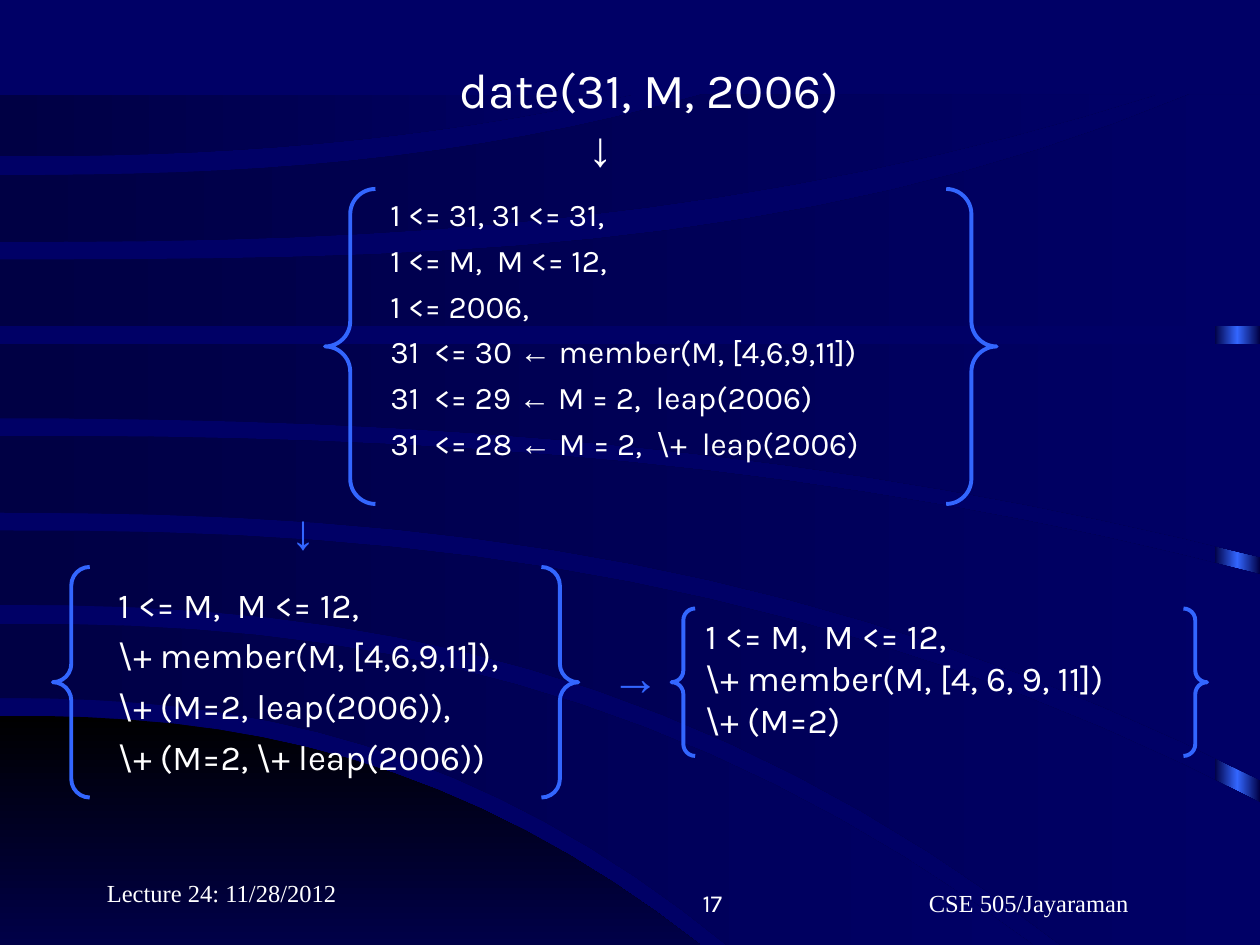
from dataclasses import dataclass
from itertools import groupby

from lxml import etree
from pptx import Presentation
from pptx import util as u
from pptx.dml.color import RGBColor
from pptx.enum import shapes, text
from pptx.oxml.ns import qn


@dataclass(frozen=True)
class Theme:
    night: str = "000066"
    shade: str = "000044"
    dusk: str = "000048"
    black: str = "000000"
    accent: str = "3366FF"
    white: str = "FFFFFF"
    sans: str = "Karla"
    serif: str = "Times New Roman"
    symbol: str = "Arial"
    title: int = 28
    result: int = 20
    body: int = 18
    footer: int = 14


theme = Theme()
align = text.PP_ALIGN
deck = Presentation()
deck.slide_width, deck.slide_height = u.Inches(10), u.Inches(7.5)
page = deck.slides.add_slide(deck.slide_layouts[6])
page.background.fill.solid()
page.background.fill.fore_color.rgb = RGBColor.from_string(theme.night)


def paint(shape, colors, angle=0):
    shape.shadow.inherit = False
    shape.line.fill.background()
    shape.fill.gradient()
    shape.fill.gradient_angle = angle
    stops = shape._element.spPr.find(".//" + qn("a:gsLst"))
    for stop in list(stops):
        stops.remove(stop)
    for index, color in enumerate(colors):
        position = str(100000 * index // (len(colors) - 1))
        stop = etree.SubElement(stops, qn("a:gs"), pos=position)
        etree.SubElement(stop, qn("a:srgbClr"), val=color)


def write(place, lines, size, color=theme.white, font=theme.sans, alignment=align.LEFT,
          anchor=text.MSO_ANCHOR.TOP, gap=0, indents=()):
    box = page.shapes.add_textbox(*map(u.Inches, place))
    frame = box.text_frame
    frame.word_wrap = True
    frame.vertical_anchor = anchor
    for index, line in enumerate(lines):
        para = frame.paragraphs[0] if index == 0 else frame.add_paragraph()
        para.alignment = alignment
        if index and gap:
            para.space_before = u.Pt(gap)
        if indents:
            para._p.get_or_add_pPr().set("marL", str(u.Inches(indents[index])))
        for is_arrow, letters in groupby(line, lambda letter: letter in "←↓→"):
            span = para.add_run()
            span.text = "".join(letters)
            span.font.name = theme.symbol if is_arrow else font
            span.font.size = u.Pt(size)
            span.font.color.rgb = RGBColor.from_string(color)


stripe = page.shapes.add_shape(
    shapes.MSO_SHAPE.RECTANGLE, u.Inches(9.64), u.Inches(0.77), u.Inches(0.36), u.Inches(6.73))
paint(stripe, [theme.shade, theme.accent, theme.shade])

steps = 16
sweep = [theme.shade, theme.night]
bands = [
    ((5.68, 5.56, 7.5), (7.5, 5.56, 7.5), [], 2.4, [theme.black, theme.dusk], 270),
    ((4.95, 8.2, 7.5), (5.54, 5.77, 7.5), [], 2.4, sweep, 0),
    ((4.21, 10, 6.37), (4.8, 8.42, 7.5), [(10, 7.5)], 2.4, sweep, 0),
    ((3.46, 10, 4.56), (4.07, 10, 6.19), [], 2.4, sweep, 0),
    ((2.73, 10, 2.73), (3.32, 10, 4.42), [], 2.3, sweep, 0),
    ((2.06, 9.44, 0.75), (2.59, 10, 2.59), [(10, 0.75)], 3, sweep, 0),
    ((1.39, 5.57, 0.75), (1.92, 9.18, 0.75), [], 2.5, sweep, 0),
    ((0.75, 5.02, 0.75), (1.24, 5.02, 0.75), [], 2.3, sweep, 0),
]
for upper, lower, corner, bend, colors, angle in bands:
    top, bottom = [
        [(end * step / steps, start + (finish - start) * (step / steps) ** bend)
         for step in range(steps + 1)]
        for start, end, finish in (upper, lower)
    ]
    points = [(u.Inches(x), u.Inches(y)) for x, y in top + corner + bottom[::-1]]
    outline = page.shapes.build_freeform(*points[0])
    outline.add_line_segments(points[1:], close=True)
    paint(outline.convert_to_shape(), colors, angle)

for place in [(2.58, 1.5, 5.33, 2.5), (0.42, 4.5, 4.17, 1.83), (5.33, 4.83, 4.25, 1.17)]:
    braces = page.shapes.add_shape(shapes.MSO_SHAPE.DOUBLE_BRACE, *map(u.Inches, place))
    braces.adjustments[0] = 0.08
    braces.shadow.inherit = False
    braces.fill.background()
    braces.line.color.rgb = RGBColor.from_string(theme.accent)
    braces.line.width = u.Pt(2.25)

write((2.92, 0.42, 5, 1.04), ["date(31, M, 2006)", "↓"], theme.title, indents=(0.63, 1.65))
write((3, 1.5, 4.5, 2.5), [
    "1 <= 31, 31 <= 31,",
    "1 <= M,  M <= 12,",
    "1 <= 2006,",
    "31  <= 30 ← member(M, [4,6,9,11])",
    "31  <= 29 ← M = 2,  leap(2006)",
    "31  <= 28 ← M = 2,  \\+  leap(2006)",
], theme.body, gap=4.5)
write((2.21, 3.92, 0.4, 0.57), ["↓"], theme.title, theme.accent)
write((0.84, 4.58, 3.5, 1.64), [
    "1 <= M,  M <= 12,",
    "\\+ member(M, [4,6,9,11]),",
    "\\+ (M=2, leap(2006)),",
    "\\+ (M=2, \\+ leap(2006))",
], theme.result, gap=5)
write((4.75, 5.08, 0.6, 0.57), ["→"], theme.title, theme.accent)
write((5.5, 4.83, 4.17, 1.1), [
    "1 <= M,  M <= 12,",
    "\\+ member(M, [4, 6, 9, 11])",
    "\\+ (M=2)",
], theme.result)

for place, label, font, alignment in [
    ((0.75, 6.75, 2.08, 0.5), "Lecture 24: 11/28/2012", theme.serif, align.LEFT),
    ((3.75, 6.83, 2.08, 0.5), "17", theme.sans, align.RIGHT),
    ((6.58, 6.83, 3.17, 0.5), "CSE 505/Jayaraman", theme.serif, align.CENTER),
]:
    write(place, [label], theme.footer, font=font, alignment=alignment,
          anchor=text.MSO_ANCHOR.BOTTOM)

deck.save("out.pptx")
